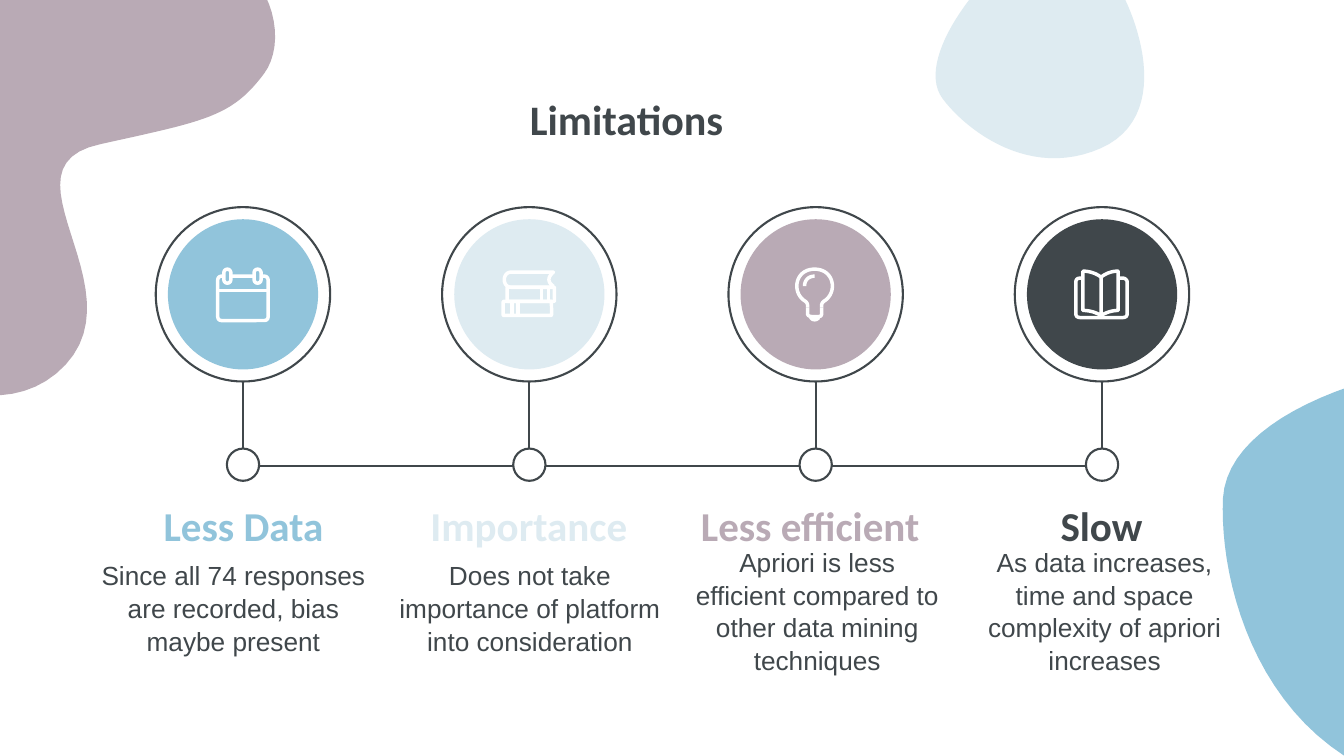
"""Build the Limitations slide: four icon circles on a timeline."""
import pptx
import pptx.util
import pptx.dml.color
import pptx.enum.shapes
import pptx.enum.text
import lxml.etree

Inches = pptx.util.Inches
Pt = pptx.util.Pt
RGB = pptx.dml.color.RGBColor.from_string
MSO = pptx.enum.shapes.MSO_SHAPE
ANCHOR = pptx.enum.text.MSO_ANCHOR

COLORS = {"dark": "40474B", "blue": "91C4DB", "pale": "DEEBF1", "mauve": "B9AAB5", "white": "FFFFFF"}

deck = pptx.Presentation()
deck.slide_width, deck.slide_height = Inches(13.33), Inches(7.5)
slide = deck.slides.add_slide(deck.slide_layouts[6])
shapes = slide.shapes


def paint(shape, fill=None, line=None, width=1.5):
    shape.shadow.inherit = False
    if fill:
        shape.fill.solid()
        shape.fill.fore_color.rgb = RGB(COLORS[fill])
    else:
        shape.fill.background()
    if line:
        shape.line.color.rgb = RGB(COLORS[line])
        shape.line.width = Pt(width)
    else:
        shape.line.fill.background()


def write(text, box, size, font, color, bold=False, anchor=ANCHOR.MIDDLE, spacing=1.0):
    frame = shapes.add_textbox(*map(Inches, box)).text_frame
    frame.word_wrap = True
    frame.vertical_anchor = anchor
    frame.margin_left = frame.margin_right = frame.margin_top = frame.margin_bottom = Inches(0.13)
    line = frame.paragraphs[0]
    line.text = text
    line.alignment = pptx.enum.text.PP_ALIGN.CENTER
    line.line_spacing = spacing
    line.font.size, line.font.name, line.font.bold = Pt(size), font, bold
    line.font.color.rgb = RGB(COLORS[color])


# Each outline: start point, then lines (x, y) or curves (two controls and an end); closed; fill; line.
blobs = [
    ([(12.13, 4.94), (12.09, 5.78, 12.48, 7.38, 14.01, 7.8), (15.54, 8.21, 16.26, 6.34, 16.41, 5.47),
      (16.56, 4.59, 16.42, 3.48, 15.05, 3.54), (13.68, 3.59, 12.18, 4.11, 12.13, 4.94)], True, "blue", None),
    ([(2.62, 0.73), (2.3, 1.16, 2.04, 1.2, 1, 1.43), (-0.05, 1.65, 1.37, 2.84, 0.65, 3.62),
      (-0.07, 4.39, -1.52, 3.58, -1.71, 2.49), (-1.9, 1.39, -0.85, -0.48, 0.88, -0.69),
      (2.61, -0.9, 2.94, 0.3, 2.62, 0.73)], True, "mauve", None),
    ([(9.35, 0.98), (9.59, 1.3, 10.22, 1.78, 10.92, 1.47), (11.61, 1.16, 11.31, 0.25, 11.1, -0.12),
      (10.89, -0.5, 10.5, -0.87, 10.01, -0.43), (9.52, 0.01, 9.11, 0.66, 9.35, 0.98)], True, "pale", None),
]
top_book = [(5.5, 2.85), (5.07, 2.85), (4.98, 2.85, 4.98, 2.7, 5.07, 2.7), (5.49, 2.7),
            (5.43, 2.75, 5.43, 2.8, 5.49, 2.84)]
bulb = [(8.01, 3.05), (8.01, 3.03), (8.01, 3.01, 8, 3, 7.99, 2.99), (7.85, 2.91, 7.88, 2.67, 8.08, 2.67),
        (8.28, 2.67, 8.31, 2.91, 8.17, 2.99), (8.16, 3, 8.15, 3.01, 8.15, 3.03), (8.15, 3.05)]
bulb_base = [(8.01, 3.05), (8.01, 3.11), (8.01, 3.13, 8.03, 3.14, 8.05, 3.14), (8.12, 3.14),
             (8.14, 3.14, 8.15, 3.13, 8.15, 3.11), (8.15, 3.05)]
bulb_tip = [(8.04, 3.15), (8.06, 3.18, 8.1, 3.18, 8.12, 3.15)]
bulb_glare = [(7.98, 2.84), (7.98, 2.78, 8.02, 2.74, 8.08, 2.74)]
pages = [(10.92, 3.13), (10.92, 2.75), (10.87, 2.71, 10.8, 2.69, 10.74, 2.69), (10.74, 3.08),
         (10.81, 3.08, 10.87, 3.1, 10.92, 3.13), (10.97, 3.1, 11.03, 3.08, 11.09, 3.08),
         (11.09, 2.69), (11.03, 2.69, 10.97, 2.71, 10.92, 2.75)]
cover = [(10.74, 2.76), (10.71, 2.76), (10.68, 2.76, 10.67, 2.78, 10.67, 2.8), (10.67, 3.11),
         (10.67, 3.14, 10.69, 3.15, 10.71, 3.15), (11.14, 3.15), (11.16, 3.15, 11.18, 3.14, 11.18, 3.11),
         (11.18, 2.8), (11.18, 2.78, 11.16, 2.76, 11.14, 2.76), (11.1, 2.76)]
strokes = [(outline, False, None, "white") for outline in (
    [(2.16, 2.88), (2.66, 2.88)], top_book, [(5.37, 2.85), (5.37, 2.99)], [(5.44, 2.85), (5.44, 2.99)],
    [(5.08, 2.99), (5.08, 3.13)], [(5.14, 2.99), (5.14, 3.13)],
    bulb, bulb_base, bulb_tip, bulb_glare, pages, cover)]

STEP, FIRST = 2.84, 2.41
columns = [
    ("Less Data", "blue", (1.04, 2.75), "Since all 74 responses are recorded, bias maybe present", (0.75, 5.44, 3.13)),
    ("Importance", "pale", (3.87, 2.75), "Does not take importance of platform into consideration", (3.78, 5.44, 2.95)),
    ("Less efficient", "mauve", (6.61, 2.85),
     "Apriori is less efficient compared to other data mining techniques", (6.73, 5.47, 2.75)),
    ("Slow", "dark", (9.55, 2.75),
     "As data increases, time and space complexity of apriori increases", (9.58, 5.47, 2.75)),
]
centers = [FIRST + STEP * i for i in range(len(columns))]

links = [(centers[0], 4.62, centers[-1], 4.62)] + [(x, 3.78, x, 4.45) for x in centers]
for ends in links:
    link = shapes.add_connector(pptx.enum.shapes.MSO_CONNECTOR.STRAIGHT, *map(Inches, ends))
    link.line.color.rgb = RGB(COLORS["dark"])
    link.line.width = Pt(1.5)
    lxml.etree.SubElement(link._element.spPr, pptx.oxml.ns.qn("a:effectLst"))

for x, (heading, color, (left, width), detail, (detail_left, detail_top, detail_width)) in zip(centers, columns):
    for y, size, fill, line in ((2.92, 1.73, None, "dark"), (2.92, 1.49, color, None), (4.61, 0.32, "white", "dark")):
        circle = shapes.add_shape(MSO.OVAL, Inches(x - size / 2), Inches(y - size / 2), Inches(size), Inches(size))
        paint(circle, fill, line)
    write(heading, (left, 4.89, width, 0.63), 29.3, "Calibri", color, bold=True)
    write(detail, (detail_left, detail_top, detail_width, 1.17), 18.7, "Arial", "dark", spacing=1.04)

icon_boxes = [
    ((2.16, 2.74, 0.5, 0.44), 0.08, None),
    ((2.22, 2.67, 0.07, 0.14), 0.5, "blue"),
    ((2.52, 2.67, 0.07, 0.14), 0.5, "blue"),
    ((5.03, 2.85, 0.47, 0.14), 0.06, None),
    ((4.99, 2.99, 0.48, 0.14), 0.06, None),
]
for box, rounding, fill in icon_boxes:
    part = shapes.add_shape(MSO.ROUNDED_RECTANGLE, *map(Inches, box))
    part.adjustments[0] = rounding
    paint(part, fill, "white", 2.5)

for outline, closed, fill, line in blobs + strokes:
    points = [outline[0]]
    for segment in outline[1:]:
        if len(segment) == 2:
            points.append(segment)
            continue
        x0, y0 = points[-1]
        x1, y1, x2, y2, x3, y3 = segment
        for t in (n / 24 for n in range(1, 25)):
            a, b, c, d = (1 - t) ** 3, 3 * t * (1 - t) ** 2, 3 * t * t * (1 - t), t ** 3
            points.append((a * x0 + b * x1 + c * x2 + d * x3, a * y0 + b * y1 + c * y2 + d * y3))
    corners = [(Inches(x), Inches(y)) for x, y in points]
    builder = shapes.build_freeform(*corners[0])
    builder.add_line_segments(corners[1:], close=closed)
    paint(builder.convert_to_shape(), fill, line, 2.5)

write("Limitations", (0.59, 0.77, 11.25, 0.79), 30, "Calibri", "dark", bold=True, anchor=ANCHOR.BOTTOM)

deck.save("out.pptx")
